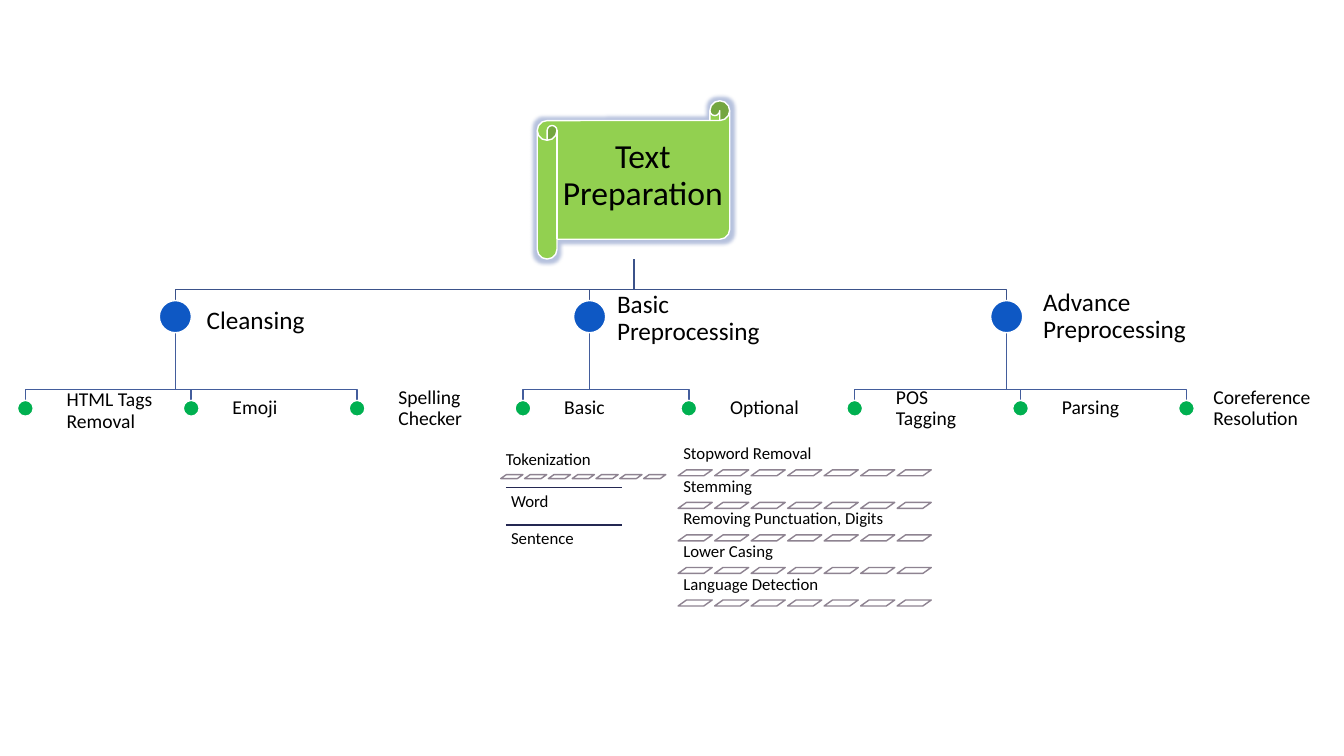
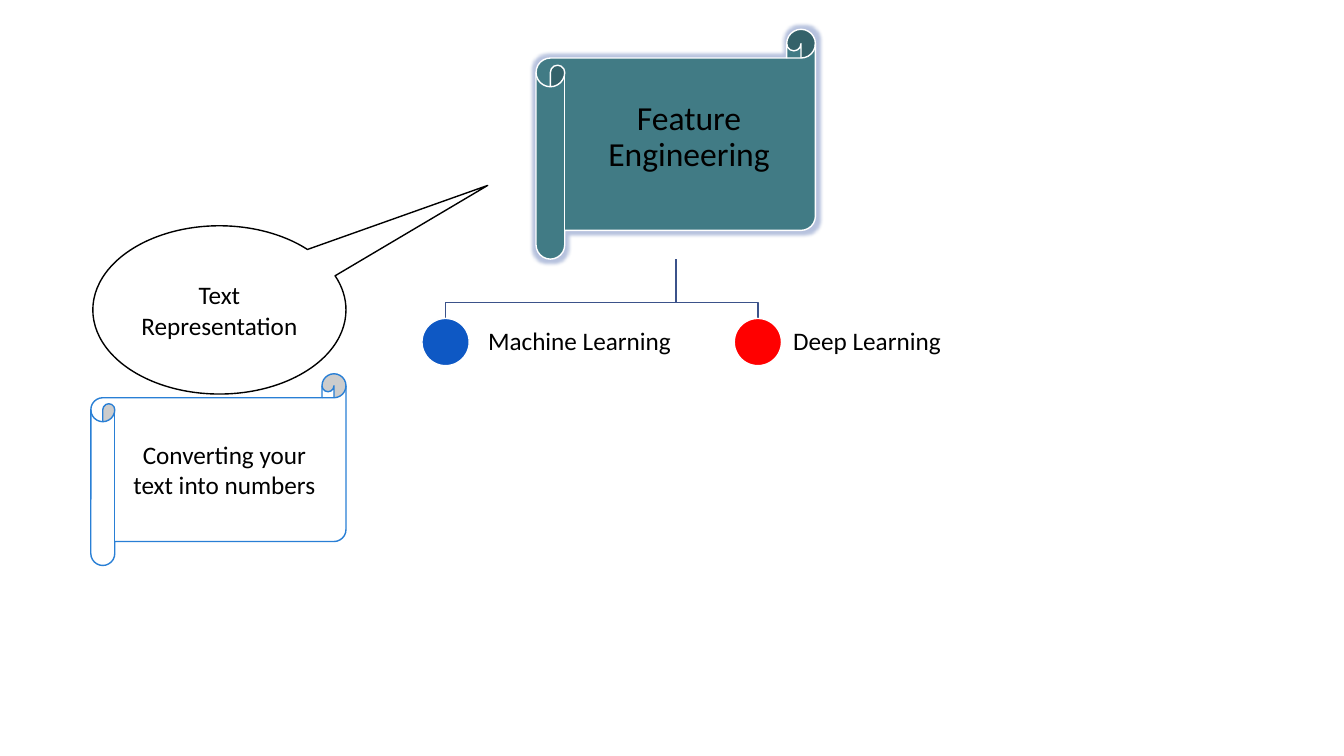
"""Build two tree slides: text preparation and feature engineering."""
from dataclasses import dataclass

from lxml.etree import SubElement
from pptx import Presentation
from pptx.dml.color import RGBColor
from pptx.enum.shapes import MSO_CONNECTOR, MSO_SHAPE
from pptx.enum.text import MSO_ANCHOR, PP_ALIGN
from pptx.oxml.ns import qn
from pptx.util import Cm, Pt


@dataclass(frozen=True)
class Theme:
    font: str = "Calibri"
    text: str = "000000"
    white: str = "FFFFFF"
    green: str = "92D050"
    teal: str = "417B85"
    blue: str = "0E58C4"
    red: str = "FF0000"
    leaf: str = "00B050"
    trunk: str = "3B528A"
    twig: str = "435D9C"
    dash: str = "8E8391"
    rule: str = "242852"
    outline: str = "297FD5"
    glow: str = "4A66AC"
    title: int = 24
    head: int = 18
    item: int = 14
    detail: int = 12
    line: int = 1


T = Theme()


def put(s, kind, box, fill=None, line=None, text="", size=T.head, inset=(0.25, 0.13),
        anchor=MSO_ANCHOR.MIDDLE, align=PP_ALIGN.LEFT, spacing=0.9):
    """Add a preset shape, or a text box when kind is None."""
    place = [Cm(v) for v in box]
    if kind is None:
        sp = s.shapes.add_textbox(*place)
    else:
        sp = s.shapes.add_shape(kind, *place)
        sp.shadow.inherit = False
        sp.fill.solid()
        sp.fill.fore_color.rgb = RGBColor.from_string(fill)
        sp.line.color.rgb = RGBColor.from_string(line)
        sp.line.width = Pt(T.line)
    if text:
        tf = sp.text_frame
        tf.word_wrap = True
        tf.vertical_anchor = anchor
        tf.margin_left = tf.margin_right = Cm(inset[0])
        tf.margin_top = tf.margin_bottom = Cm(inset[1])
        p = tf.paragraphs[0]
        p.alignment = align
        p.line_spacing = spacing
        r = p.add_run()
        r.text = text
        r.font.name = T.font
        r.font.size = Pt(size)
        r.font.color.rgb = RGBColor.from_string(T.text)
    return sp


def branch(s, x, children, top, bus, bottom, color):
    """Draw an elbow line from a parent to each child."""
    for child in children:
        fb = s.shapes.build_freeform(Cm(x), Cm(top))
        fb.add_line_segments([(Cm(x), Cm(bus)), (Cm(child), Cm(bus)),
                              (Cm(child), Cm(bottom))], close=False)
        sp = fb.convert_to_shape()
        sp.shadow.inherit = False
        sp.fill.background()
        sp.line.color.rgb = RGBColor.from_string(color)
        sp.line.width = Pt(T.line)


prs = Presentation()
prs.slide_width, prs.slide_height = Cm(33.87), Cm(19.05)
prep, feature = [prs.slides.add_slide(prs.slide_layouts[6]) for _ in range(2)]

titles = [
    (prep, "Text Preparation", T.green, (13.54, 2.54, 4.85, 3.99), (13.61, 3.28, 5.18, 2.31)),
    (feature, "Feature Engineering", T.teal, (13.51, 0.74, 7.04, 5.79), (14.76, 1.8, 5.21, 3.35)),
]
for s, text, fill, scroll_box, text_box in titles:
    scroll = put(s, MSO_SHAPE.HORIZONTAL_SCROLL, scroll_box, fill, T.white)
    effects = scroll._element.spPr.find(qn("a:effectLst"))
    glow = SubElement(effects, qn("a:glow"), rad="63500")
    color = SubElement(glow, qn("a:srgbClr"), val=T.glow)
    SubElement(color, qn("a:alpha"), val="40000")
    put(s, None, text_box, text=text, size=T.title, inset=(0.25, 0.25), align=PP_ALIGN.CENTER)

LEAF_X, LEAF_STEP, LEAF_Y, LEAF_D = 0.64, 4.18, 10.29, 0.4
HEAD_Y, HEAD_D = 7.98, 0.81
heads = [
    ("Cleansing", 4.42, (5.03, 7.21, 4.7, 1.78), ["HTML Tags Removal", "Emoji", "Spelling Checker"]),
    ("Basic Preprocessing", 14.86, (15.37, 7.14, 4.7, 1.78), ["Basic", "Optional"]),
    ("Advance Preprocessing", 25.37, (26.11, 7.09, 5.44, 1.78),
     ["POS Tagging", "Parsing", "Coreference Resolution"]),
]
leaf_boxes = {"HTML Tags Removal": (1.53, 9.47, 2.67, 1.78),
              "Coreference Resolution": (30.43, 9.4, 3.43, 1.78)}
branch(prep, 15.98, [x for _, x, _, _ in heads], 6.53, 7.29, 7.57, T.trunk)
count = 0
for text, x, text_box, leaves in heads:
    leaf_xs = [LEAF_X + LEAF_STEP * (count + i) for i in range(len(leaves))]
    count += len(leaves)
    branch(prep, x, leaf_xs, 8.38, 9.82, 10.09, T.twig)
    put(prep, MSO_SHAPE.OVAL, (x - HEAD_D / 2, HEAD_Y - HEAD_D / 2, HEAD_D, HEAD_D), T.blue, T.white)
    put(prep, None, text_box, text=text, inset=(0.18, 0.18))
    for leaf, leaf_x in zip(leaves, leaf_xs):
        put(prep, MSO_SHAPE.OVAL, (leaf_x - LEAF_D / 2, LEAF_Y - LEAF_D / 2, LEAF_D, LEAF_D),
            T.leaf, T.white)
        put(prep, None, leaf_boxes.get(leaf, (leaf_x + 0.89, 9.4, 2.67, 1.78)), text=leaf,
            size=T.item, inset=(0.15, 0.15))

options = ["Stopword Removal", "Stemming", "Removing Punctuation, Digits", "Lower Casing",
           "Language Detection"]
strips = [("Tokenization", (12.62, 11.58, 4.27, 0.38), (0.56, 0.1), 0.6, 0)]
strips += [(text, (17.09, 11.23 + 0.82 * i, 6.53, 0.58), (0.86, 0.15), 0.92, 0.03)
           for i, text in enumerate(options)]
for text, box, dash_size, step, gap in strips:
    put(prep, None, box, text=text, size=T.detail, inset=(0.13, 0.13), anchor=MSO_ANCHOR.BOTTOM)
    for i in range(7):
        dash = put(prep, MSO_SHAPE.PARALLELOGRAM,
                   (box[0] + step * i, box[1] + box[3] + gap, *dash_size), T.white, T.dash)
        dash.adjustments[0] = 1.41

for i, text in enumerate(["Word", "Sentence"]):
    y = 12.29 + 0.94 * i
    rule = prep.shapes.add_connector(MSO_CONNECTOR.STRAIGHT, Cm(12.75), Cm(y), Cm(15.67), Cm(y))
    rule.line.color.rgb = RGBColor.from_string(T.rule)
    rule.line.width = Pt(T.line)
    SubElement(rule._element.spPr, qn("a:effectLst"))
    put(prep, None, (12.75, y, 2.92, 0.91), text=text, size=T.detail, inset=(0.13, 0.13),
        anchor=MSO_ANCHOR.TOP)

METHOD_Y, METHOD_D = 8.62, 1.19
methods = [("Machine Learning", 11.23, 12.12, T.blue), ("Deep Learning", 19.1, 19.81, T.red)]
branch(feature, 17.04, [x for _, x, _, _ in methods], 6.53, 7.62, 8.03, T.trunk)
for text, x, text_x, fill in methods:
    put(feature, MSO_SHAPE.OVAL, (x - METHOD_D / 2, METHOD_Y - METHOD_D / 2, METHOD_D, METHOD_D),
        fill, T.white)
    put(feature, None, (text_x, 7.34, 6.81, 2.57), text=text, inset=(0.18, 0.18))

callout = put(feature, MSO_SHAPE.OVAL_CALLOUT, (2.34, 5.69, 6.38, 4.24), T.white, T.text,
              "Text Representation", align=PP_ALIGN.CENTER, spacing=1.0)
callout.adjustments[0], callout.adjustments[1] = 1.06, -0.74
put(feature, MSO_SHAPE.HORIZONTAL_SCROLL, (2.29, 9.42, 6.43, 4.83), T.white, T.outline,
    "Converting your text into numbers", align=PP_ALIGN.CENTER, spacing=1.0)

prs.save("out.pptx")
